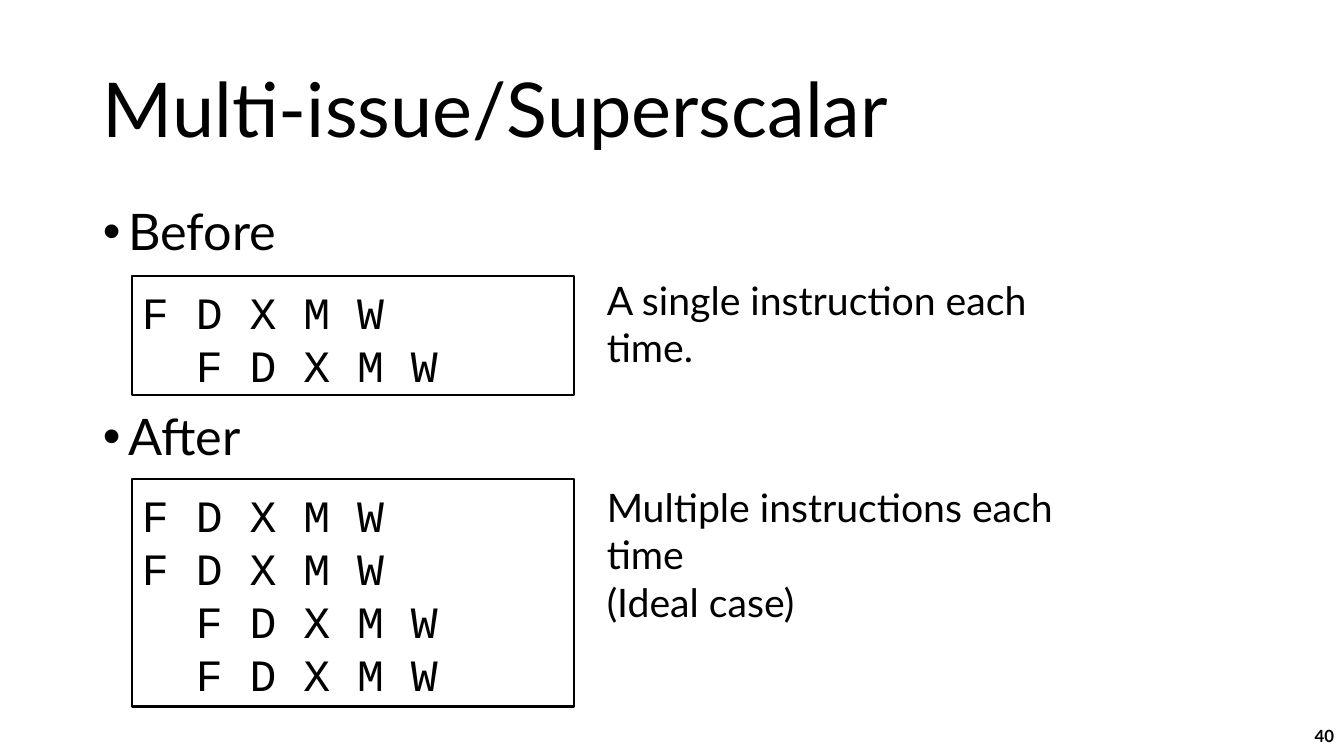
"""Build the slide comparing single-issue and multi-issue pipelines."""
from lxml import etree
from pptx import Presentation
from pptx import util as u
from pptx.dml.color import RGBColor
from pptx.enum import shapes, text
from pptx.oxml.ns import qn

TITLE = "Multi-issue/Superscalar"
PAGE_NUMBER = "40"
STAGES = "F D X M W"
DELAYED = "  " + STAGES
SECTIONS = [
    {"heading": "Before", "top": 2.74, "code": [STAGES, DELAYED],
     "note_top": 2.69, "note_width": 5.2,
     "note": ["A single instruction each time."]},
    {"heading": "After", "top": 4.75, "code": [STAGES, STAGES, DELAYED, DELAYED],
     "note_top": 4.75, "note_width": 5.3,
     "note": ["Multiple instructions each time", "(Ideal case)"]},
]
COLORS = {"ink": "000000", "paper": "FFFFFF"}
SANS, MONO = "Lato", "Courier New"
WIDTH, HEIGHT = 13.33, 7.5
MARGIN, CODE_LEFT, CODE_WIDTH, NOTE_LEFT = 0.92, 1.31, 4.38, 5.92
CODE_LINE, CODE_PADDING = 0.54, 0.1
HEADING_GAP = 108


def color(name):
    return RGBColor.from_string(COLORS[name])


def place(shape, left, top, width, height):
    shape.left, shape.top = u.Inches(left), u.Inches(top)
    shape.width, shape.height = u.Inches(width), u.Inches(height)


def write(frame, lines, size, font=SANS, bold=False,
          align=text.PP_ALIGN.LEFT, anchor=text.MSO_ANCHOR.TOP):
    frame.word_wrap = True
    frame.auto_size = text.MSO_AUTO_SIZE.NONE
    frame.vertical_anchor = anchor
    for index, line in enumerate(lines):
        paragraph = frame.add_paragraph() if index else frame.paragraphs[0]
        paragraph.alignment = align
        paragraph.space_before = u.Pt(0)
        run = paragraph.add_run()
        run.text = line
        run.font.size, run.font.name, run.font.bold = u.Pt(size), font, bold
        run.font.color.rgb = color("ink")
    return frame.paragraphs


def add_bullet(paragraph):
    properties = paragraph._p.get_or_add_pPr()
    properties.set("marL", str(u.Inches(0.25)))
    properties.set("indent", str(-u.Inches(0.25)))
    etree.SubElement(properties, qn("a:buFont")).set("typeface", "Arial")
    etree.SubElement(properties, qn("a:buChar")).set("char", "•")


def add_text(slide, lines, box, size, **style):
    shape = slide.shapes.add_textbox(0, 0, 0, 0)
    place(shape, *box)
    write(shape.text_frame, lines, size, **style)


def add_code(slide, lines, top):
    shape = slide.shapes.add_shape(shapes.MSO_SHAPE.RECTANGLE, 0, 0, 0, 0)
    place(shape, CODE_LEFT, top, CODE_WIDTH, CODE_LINE * len(lines) + CODE_PADDING)
    shape.shadow.inherit = False
    shape.fill.solid()
    shape.fill.fore_color.rgb = color("paper")
    shape.line.color.rgb = color("ink")
    shape.line.width = u.Pt(1.5)
    shape.text_frame.margin_top = u.Inches(0.09)
    for paragraph in write(shape.text_frame, lines, 32, font=MONO):
        paragraph.line_spacing = u.Pt(38)


def main():
    presentation = Presentation()
    presentation.slide_width = u.Inches(WIDTH)
    presentation.slide_height = u.Inches(HEIGHT)
    slide = presentation.slides.add_slide(presentation.slide_layouts[1])

    title, body = slide.placeholders
    place(title, MARGIN, 0.4, WIDTH - 2 * MARGIN, 1.45)
    write(title.text_frame, [TITLE], 54,
          anchor=text.MSO_ANCHOR.MIDDLE)[0].line_spacing = 0.9

    place(body, MARGIN, 2, 5.35, 4.76)
    headings = write(body.text_frame, [section["heading"] for section in SECTIONS], 36)
    for index, paragraph in enumerate(headings):
        paragraph.line_spacing = 0.9
        paragraph.space_before = u.Pt(HEADING_GAP * index)
        add_bullet(paragraph)

    add_text(slide, [PAGE_NUMBER], (WIDTH - 3, HEIGHT - 0.4, 3, 0.4), 12, bold=True,
             align=text.PP_ALIGN.RIGHT, anchor=text.MSO_ANCHOR.MIDDLE)
    for section in SECTIONS:
        add_code(slide, section["code"], section["top"])
        note_box = (NOTE_LEFT, section["note_top"], section["note_width"],
                    0.47 * len(section["note"]) + 0.1)
        add_text(slide, section["note"], note_box, 28)

    presentation.save("out.pptx")


if __name__ == "__main__":
    main()
